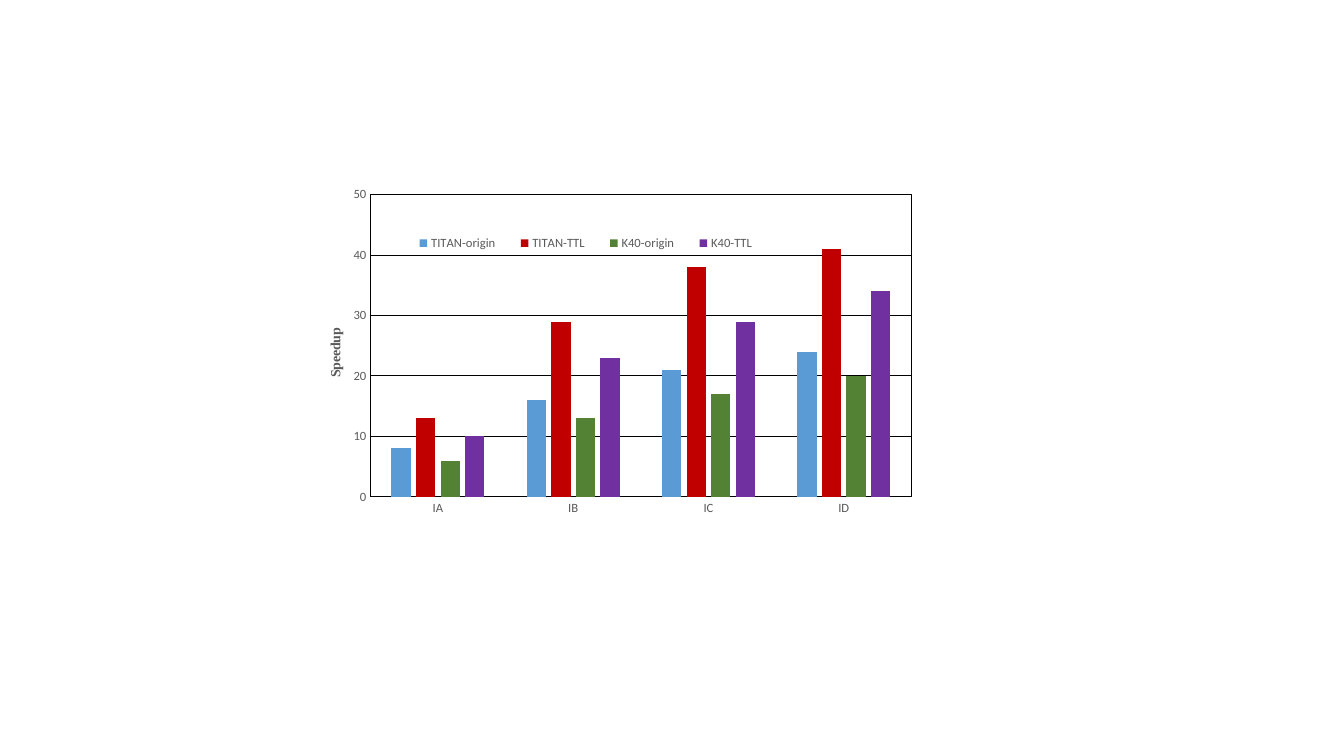
from lxml import etree
from pptx import Presentation
from pptx.chart.data import CategoryChartData
from pptx.dml.color import RGBColor
from pptx.enum.chart import XL_CHART_TYPE, XL_LEGEND_POSITION, XL_TICK_MARK
from pptx.oxml import parse_xml
from pptx.oxml.ns import nsdecls, qn
from pptx.util import Cm, Pt

# Content
CATEGORIES = ["IA", "IB", "IC", "ID"]
BLUE = RGBColor(0x5B, 0x9B, 0xD5)
RED = RGBColor(0xC0, 0x00, 0x00)
GREEN = RGBColor(0x54, 0x82, 0x35)
PURPLE = RGBColor(0x70, 0x30, 0xA0)
SERIES = [
    ("TITAN-origin", (8, 16, 21, 24), BLUE),
    ("TITAN-TTL", (13, 29, 38, 41), RED),
    ("K40-origin", (6, 13, 17, 20), GREEN),
    ("K40-TTL", (10, 23, 29, 34), PURPLE),
]
AXIS_TITLE = "Speedup"

# Style
BLACK = RGBColor(0x00, 0x00, 0x00)
GREY = RGBColor(0x59, 0x59, 0x59)
LINE_WIDTH = Pt(0.75)
COLUMNS = XL_CHART_TYPE.COLUMN_CLUSTERED
LEGEND_TOP = XL_LEGEND_POSITION.TOP
NO_TICK = XL_TICK_MARK.NONE


def format_font(font, size=9, color=GREY, name="Calibri", bold=False):
    font.size = Pt(size)
    font.color.rgb = color
    font.name = name
    font.bold = bold


def write_text(text_frame, text, **font_format):
    text_frame.text = text
    format_font(text_frame.paragraphs[0].runs[0].font, **font_format)


def draw_line(line):
    line.color.rgb = BLACK
    line.width = LINE_WIDTH


def place(element, index, target=None, **fractions):
    """Set a manual layout, in fractions of the chart, as the child at index."""
    for old_layout in element.findall(qn("c:layout")):
        element.remove(old_layout)
    layout = etree.Element(qn("c:layout"))
    manual = etree.SubElement(layout, qn("c:manualLayout"))
    settings = {"layoutTarget": target} if target else {}
    settings.update(xMode="edge", yMode="edge", **fractions)
    for tag, value in settings.items():
        etree.SubElement(manual, qn("c:" + tag)).set("val", str(value))
    element.insert(index, layout)


# Slide
presentation = Presentation()
presentation.slide_width = Cm(33.87)
presentation.slide_height = Cm(19.05)
slide = presentation.slides.add_slide(presentation.slide_layouts[6])

# Chart
chart_data = CategoryChartData()
chart_data.categories = CATEGORIES
for name, values, _ in SERIES:
    chart_data.add_series(name, values)
chart = slide.shapes.add_chart(
    COLUMNS, Cm(7.52), Cm(3.78), Cm(15.75), Cm(9.4), chart_data).chart
chart.has_title = False
format_font(chart.font, size=10, color=BLACK)

# Columns
plot = chart.plots[0]
plot.gap_width = 219
plot.overlap = -27
plot.vary_by_categories = False
for series, (_, _, color) in zip(plot.series, SERIES):
    series.format.fill.solid()
    series.format.fill.fore_color.rgb = color

# Axes
value_axis = chart.value_axis
for axis in (chart.category_axis, value_axis):
    axis.major_tick_mark = axis.minor_tick_mark = NO_TICK
    format_font(axis.tick_labels.font)
    draw_line(axis.format.line)
value_axis.minimum_scale = 0
value_axis.maximum_scale = 50
value_axis.major_unit = 10
value_axis.has_major_gridlines = True
draw_line(value_axis.major_gridlines.format.line)
axis_title = value_axis.axis_title
write_text(axis_title.text_frame, AXIS_TITLE,
           size=10, name="Times New Roman", bold=True)
text_body = axis_title.text_frame._txBody
text_body.find(qn("a:bodyPr")).set("rot", "-5400000")
text_body.find(qn("a:bodyPr")).set("vert", "horz")
place(text_body.getparent().getparent(), 1, x=0.04, y=0.47)

# Legend
chart.has_legend = True
legend = chart.legend
legend.position = LEGEND_TOP
legend.include_in_layout = False
format_font(legend.font)
place(legend._element, 1, x=0.16, y=0.22, w=0.6, h=0.06)

# Plot area with its black frame
plot_area = chart._chartSpace.chart.plotArea
place(plot_area, 0, target="inner", x=0.115, y=0.12, w=0.866, h=0.81)
plot_area.append(parse_xml(
    f'<c:spPr {nsdecls("c", "a")}><a:noFill/><a:ln w="{LINE_WIDTH}">'
    f'<a:solidFill><a:srgbClr val="{BLACK}"/></a:solidFill></a:ln></c:spPr>'))

presentation.save("out.pptx")
